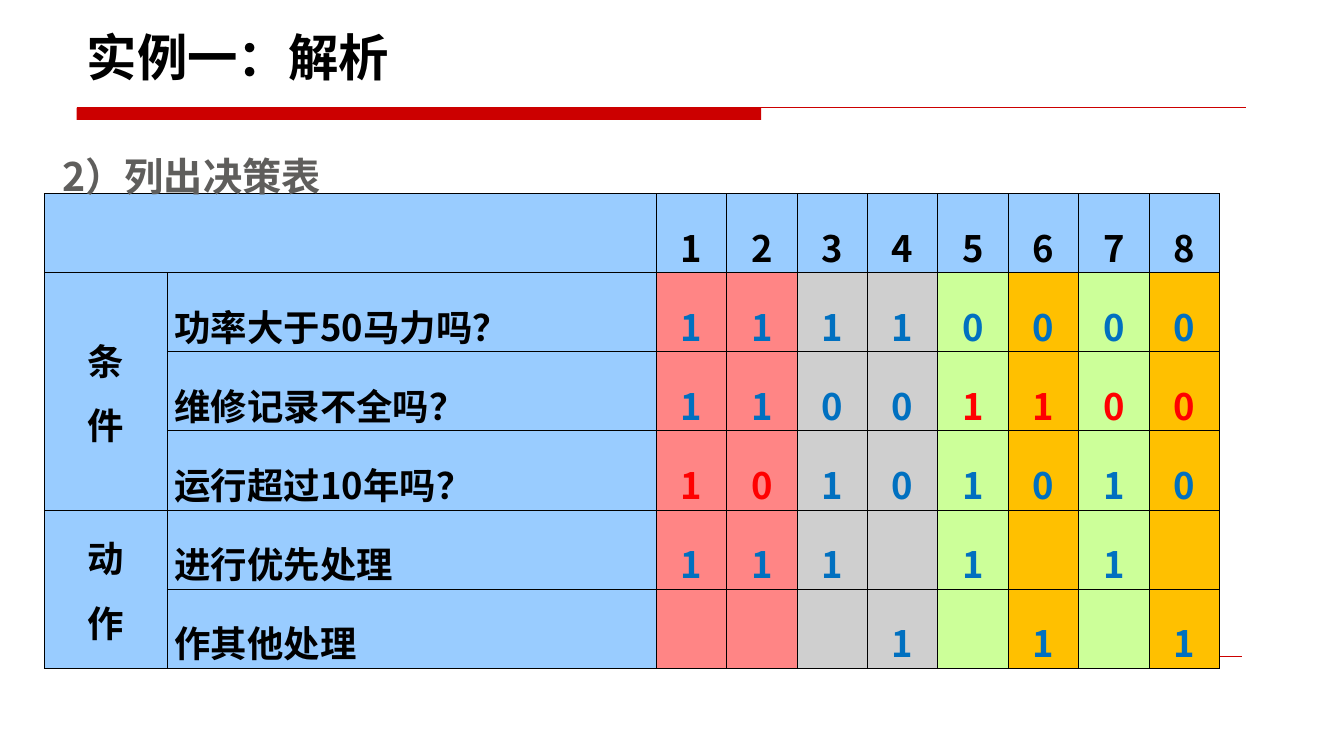
from dataclasses import dataclass

from lxml import etree
from pptx import Presentation
from pptx import util as u
from pptx.dml.color import RGBColor
from pptx.enum import shapes, text
from pptx.oxml import ns


@dataclass(frozen=True)
class Theme:
    font: str = "Noto Sans CJK SC"
    title_size: int = 36
    body_size: int = 28
    cell_size: int = 26
    black: str = "000000"
    grey_text: str = "5F5E5C"
    rule: str = "CC0000"
    label: str = "99CCFF"
    pink: str = "FF8585"
    grey: str = "CFCFCF"
    green: str = "CCFF99"
    orange: str = "FFC000"
    digit: str = "0070C0"
    key_digit: str = "FF0000"


THEME = Theme()
RULE_FILLS = [THEME.pink] * 2 + [THEME.grey] * 2 + [THEME.green, THEME.orange] * 2
# Group, question or action, value for each rule, rules that decide the outcome
DECISIONS = [
    ("条件", "功率大于50马力吗？", "11110000", ""),
    ("条件", "维修记录不全吗？", "11001100", "5678"),
    ("条件", "运行超过10年吗？", "10101010", "12"),
    ("动作", "进行优先处理", "111-1-1-", ""),
    ("动作", "作其他处理", "---1-1-1", ""),
]
GROUP_WIDTH, LABEL_WIDTH, RULE_WIDTH = 9.15, 36.38, 5.24
TABLE_HEIGHT = 54.93


class SlideBuilder:
    """Draws on one slide; every length is a percentage of the slide's size."""

    def __init__(self, presentation, theme):
        self.presentation = presentation
        self.theme = theme
        self.slide = presentation.slides.add_slide(presentation.slide_layouts[1])

    def x(self, share):
        return u.Emu(round(self.presentation.slide_width * share / 100))

    def y(self, share):
        return u.Emu(round(self.presentation.slide_height * share / 100))

    def box(self, left, top, width, height):
        return self.x(left), self.y(top), self.x(width), self.y(height)

    def bar(self, *area):
        shape = self.slide.shapes.add_shape(shapes.MSO_SHAPE.RECTANGLE, *self.box(*area))
        shape.shadow.inherit = False
        shape.fill.solid()
        shape.fill.fore_color.rgb = RGBColor.from_string(self.theme.rule)
        shape.line.fill.background()

    def horizontal_line(self, left, right, top, weight):
        line = self.slide.shapes.add_connector(
            shapes.MSO_CONNECTOR.STRAIGHT, self.x(left), self.y(top), self.x(right), self.y(top))
        line.line.color.rgb = RGBColor.from_string(self.theme.rule)
        line.line.width = u.Pt(weight)
        etree.SubElement(line.element.spPr, ns.qn("a:effectLst"))

    def run(self, paragraph, words, size, color):
        run = paragraph.add_run()
        run.text = words
        run.font.size = u.Pt(size)
        run.font.bold = True
        run.font.color.rgb = RGBColor.from_string(color)
        run.font.name = self.theme.font
        properties = run._r.get_or_add_rPr()
        etree.SubElement(properties, ns.qn("a:ea"), typeface=self.theme.font)

    def placeholder(self, index, area, words, size, color, anchor):
        """Fill a template placeholder and bring it to the front."""
        shape = self.slide.placeholders[index]
        shape.left, shape.top, shape.width, shape.height = self.box(*area)
        frame = shape.text_frame
        frame.auto_size = text.MSO_AUTO_SIZE.NONE
        frame.vertical_anchor = anchor
        paragraph = frame.paragraphs[0]
        paragraph.alignment = text.PP_ALIGN.LEFT
        self.run(paragraph, words, size, color)
        self.slide.shapes.element.append(shape.element)
        return paragraph

    def title(self, words, *area):
        self.placeholder(0, area, words, self.theme.title_size, self.theme.black,
                         text.MSO_ANCHOR.BOTTOM)

    def body(self, words, *area):
        paragraph = self.placeholder(1, area, words, self.theme.body_size,
                                     self.theme.grey_text, text.MSO_ANCHOR.TOP)
        paragraph.line_spacing = 1.5
        paragraph.space_before = u.Pt(self.theme.body_size * 0.2)
        properties = paragraph._p.get_or_add_pPr()
        properties.set("marL", "0")
        properties.set("indent", "0")
        etree.SubElement(properties, ns.qn("a:buNone"))

    def table(self, left, top, widths, height, row_count):
        frame = self.slide.shapes.add_table(
            row_count, len(widths), *self.box(left, top, sum(widths), height))
        table = frame.table
        table.first_row = table.horz_banding = False
        for column, width in zip(table.columns, widths):
            column.width = self.x(width)
        for row in table.rows:
            row.height = self.y(height / row_count)
        return table

    def cell(self, cell, fill, lines=(), color=None, centered=True, line_spacing=1.5):
        cell.margin_left = cell.margin_right = u.Inches(0.07)
        cell.margin_top = cell.margin_bottom = 0
        properties = cell._tc.get_or_add_tcPr()
        for side in "LRTB":
            border = etree.SubElement(properties, ns.qn(f"a:ln{side}"), w=str(u.Pt(0.75)))
            solid = etree.SubElement(border, ns.qn("a:solidFill"))
            etree.SubElement(solid, ns.qn("a:srgbClr"), val=self.theme.black)
        cell.fill.solid()
        cell.fill.fore_color.rgb = RGBColor.from_string(fill)
        for number, words in enumerate(lines):
            frame = cell.text_frame
            paragraph = frame.add_paragraph() if number else frame.paragraphs[0]
            paragraph.alignment = text.PP_ALIGN.CENTER if centered else text.PP_ALIGN.LEFT
            paragraph.line_spacing = line_spacing
            paragraph.space_before = u.Pt(2.5)
            paragraph.space_after = u.Pt(6)
            self.run(paragraph, words, self.theme.cell_size, color or self.theme.black)


def fill_decision_table(builder, table):
    theme = builder.theme
    for column in (0, 1):
        builder.cell(table.cell(0, column), theme.label)
    for rule in range(len(RULE_FILLS)):
        builder.cell(table.cell(0, rule + 2), theme.label, [str(rule + 1)])

    previous_group = None
    for row, (group, label, values, key_rules) in enumerate(DECISIONS, start=1):
        group_cell = table.cell(row, 0)
        characters = group if group != previous_group else ()
        builder.cell(group_cell, theme.label, characters, line_spacing=1.0)
        group_cell.vertical_anchor = text.MSO_ANCHOR.MIDDLE
        previous_group = group
        builder.cell(table.cell(row, 1), theme.label, [label], centered=False)
        for rule, (value, fill) in enumerate(zip(values, RULE_FILLS), start=1):
            color = theme.key_digit if str(rule) in key_rules else theme.digit
            builder.cell(table.cell(row, rule + 1), fill, value.strip("-"), color)

    table.cell(0, 0).merge(table.cell(0, 1))
    table.cell(1, 0).merge(table.cell(3, 0))
    table.cell(4, 0).merge(table.cell(5, 0))


def main():
    presentation = Presentation()
    presentation.slide_width = u.Inches(13.33)
    presentation.slide_height = u.Inches(7.5)
    builder = SlideBuilder(presentation, THEME)

    builder.bar(5.7, 14.27, 50.94, 1.6)
    builder.horizontal_line(5.7, 92.72, 14.27, 0.75)
    builder.horizontal_line(5.7, 92.42, 86.8, 0.25)
    widths = [GROUP_WIDTH, LABEL_WIDTH] + [RULE_WIDTH] * len(RULE_FILLS)
    table = builder.table(3.3, 25.6, widths, TABLE_HEIGHT, len(DECISIONS) + 1)
    fill_decision_table(builder, table)
    builder.title("实例一：解析", 5.7, 0, 87.55, 12.13)
    builder.body("2）列出决策表", 3.9, 16.4, 87.55, 62.27)

    presentation.save("out.pptx")


if __name__ == "__main__":
    main()
